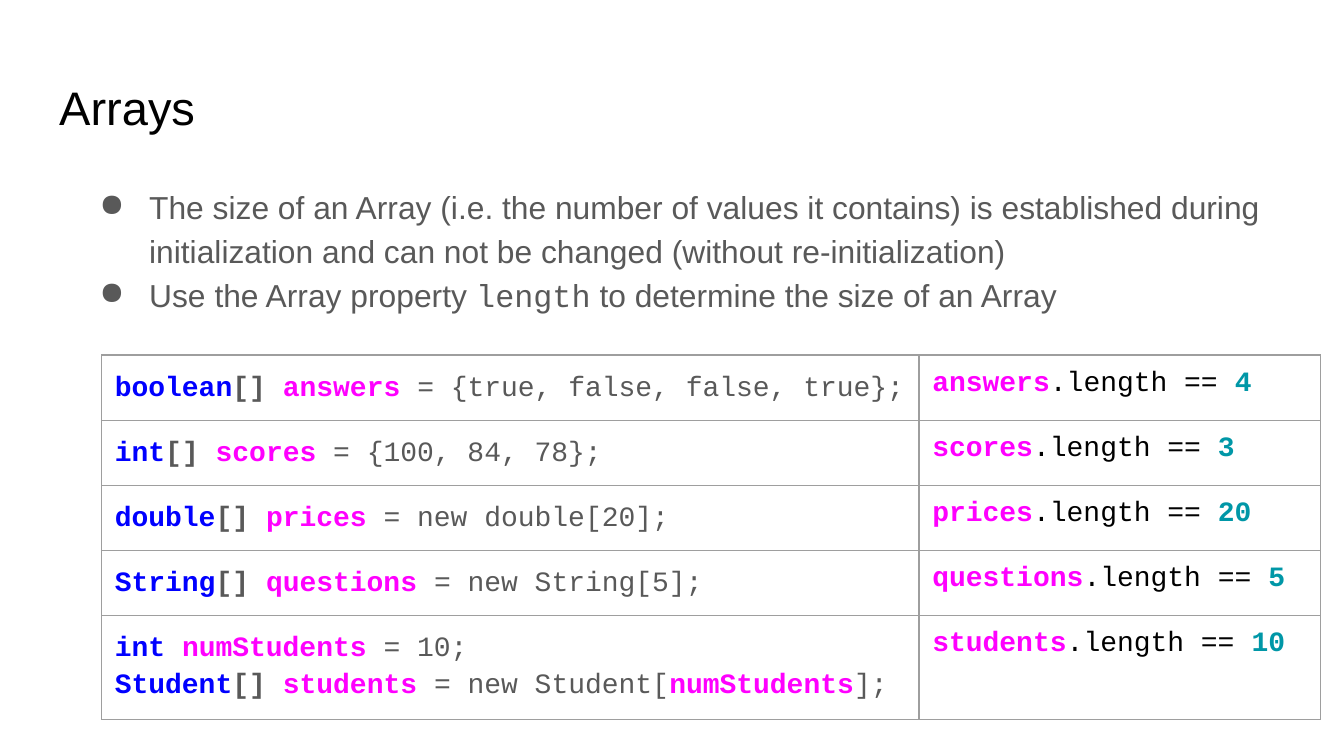
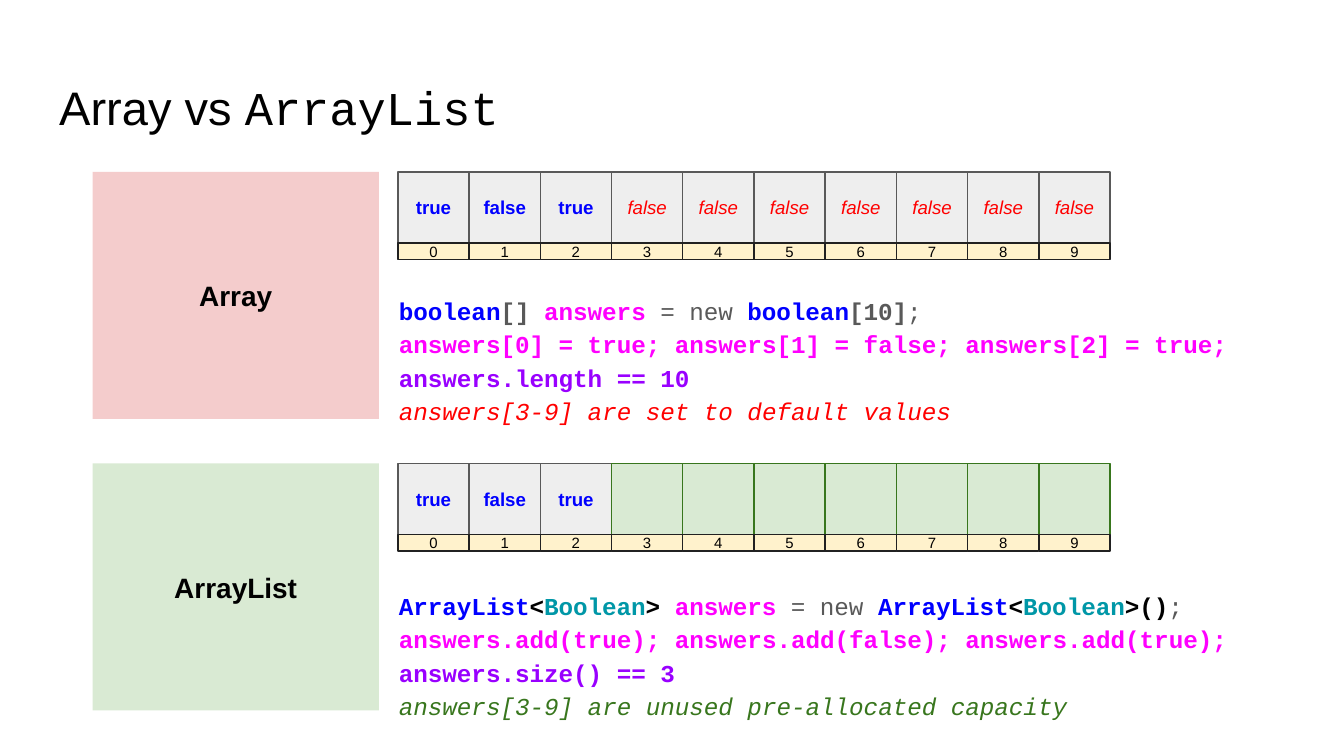
from lxml.etree import SubElement
from pptx import Presentation
from pptx.dml.color import RGBColor
from pptx.enum.shapes import MSO_SHAPE
from pptx.enum.text import MSO_ANCHOR, MSO_AUTO_SIZE, PP_ALIGN
from pptx.oxml.ns import qn
from pptx.util import Cm, Pt

COLORS = {
    "black": "000000", "gray": "595959", "blue": "0000FF", "magenta": "FF00FF",
    "teal": "0097A7", "purple": "9900FF", "red": "FF0000", "green": "38761D",
    "border": "9E9E9E", "ink": "212121", "cell": "EEEEEE", "cream": "FFF2CC",
    "pink": "F4CCCC", "mint": "D9EAD3",
}
SANS, MONO = "Arial", "Courier New"
INSET = Cm(0.25)

# Text styles: colour, bold, italic
STYLES = {
    "type": ("blue", True, False),
    "mark": ("gray", True, False),
    "name": ("magenta", True, False),
    "plain": ("gray", False, False),
    "black": ("black", False, False),
    "strong": ("black", True, False),
    "value": ("teal", True, False),
    "result": ("purple", True, False),
    "default": ("red", False, True),
    "unused": ("green", False, True),
}

# Each declaration line is a list of (style, text) spans
DECLARATIONS = [
    ([[("type", "boolean"), ("mark", "[] "), ("name", "answers"),
       ("plain", " = {true, false, false, true};")]], "answers", 4),
    ([[("type", "int"), ("mark", "[] "), ("name", "scores"),
       ("plain", " = {100, 84, 78};")]], "scores", 3),
    ([[("type", "double"), ("mark", "[] "), ("name", "prices"),
       ("plain", " = new double[20];")]], "prices", 20),
    ([[("type", "String"), ("mark", "[] "), ("name", "questions"),
       ("plain", " = new String[5];")]], "questions", 5),
    ([[("type", "int "), ("name", "numStudents"), ("plain", " = 10;")],
      [("type", "Student"), ("mark", "[] "), ("name", "students"),
       ("plain", " = new Student["), ("name", "numStudents"), ("plain", "];")]],
     "students", 10),
]

ARRAY_CODE = [
    [("type", "boolean"), ("mark", "[] "), ("name", "answers"), ("plain", " = new "),
     ("type", "boolean"), ("mark", "[10]"), ("plain", ";")],
    [("name", "answers[0] = true; answers[1] = false; answers[2] = true;")],
    [("result", "answers.length == 10")],
    [("default", "answers[3-9] are set to default values")],
]
LIST_CODE = [
    [("type", "ArrayList"), ("strong", "<"), ("value", "Boolean"), ("strong", "> "),
     ("name", "answers"), ("plain", " = new "), ("type", "ArrayList"), ("strong", "<"),
     ("value", "Boolean"), ("strong", ">()"), ("plain", ";")],
    [("name", "answers.add(true); answers.add(false); answers.add(true);")],
    [("result", "answers.size() == 3")],
    [("unused", "answers[3-9] are unused pre-allocated capacity")],
]


def color(name):
    return RGBColor.from_string(COLORS[name])


def add_span(para, text, style, size, font):
    span = para.add_run()
    span.text = text
    shade, bold, italic = STYLES[style]
    values = {"name": font, "size": Pt(size), "bold": bold, "italic": italic}
    for key, value in values.items():
        setattr(span.font, key, value)
    span.font.color.rgb = color(shade)


def add_code(para, lines, size):
    """Write code lines into one paragraph, parted by line breaks."""
    for number, line in enumerate(lines):
        if number:
            para.add_line_break()
        for style, text in line:
            add_span(para, text, style, size, MONO)


def set_frame(frame, anchor=MSO_ANCHOR.TOP):
    values = {"word_wrap": True, "vertical_anchor": anchor}
    values.update({f"margin_{side}": INSET for side in ("left", "top", "right", "bottom")})
    for key, value in values.items():
        setattr(frame, key, value)


def space_code(para):
    para.line_spacing = 1.15
    para.space_after = Pt(12)


def add_text(page, box):
    frame = page.shapes.add_textbox(*map(Cm, box)).text_frame
    set_frame(frame)
    return frame


def add_rect(shapes, box, fill, line=None, text="", style="black", size=10):
    rect = shapes.add_shape(MSO_SHAPE.RECTANGLE, *map(Cm, box))
    rect.shadow.inherit = False
    rect.fill.solid()
    rect.fill.fore_color.rgb = color(fill)
    if line:
        rect.line.color.rgb = color(line)
        rect.line.width = Pt(0.75)
    else:
        rect.line.fill.background()
    if text:
        set_frame(rect.text_frame, MSO_ANCHOR.MIDDLE)
        para = rect.text_frame.paragraphs[0]
        para.alignment = PP_ALIGN.CENTER
        add_span(para, text, style, size, SANS)


def add_title(page, *spans):
    para = add_text(page, (0.87, 1.24, 23.67, 1.6)).paragraphs[0]
    for text, font in spans:
        add_span(para, text, "black", 25.2, font)


def add_bullets(page, box, items):
    frame = add_text(page, box)
    for number, spans in enumerate(items):
        para = frame.add_paragraph() if number else frame.paragraphs[0]
        para.line_spacing = 1.15
        for text, font in spans:
            add_span(para, text, "plain", 17, font)
        # Hanging indent and round bullet
        props = para._p.get_or_add_pPr()
        props.set("marL", str(Cm(1.27)))
        props.set("indent", str(-Cm(0.94)))
        bullet_color = SubElement(props, qn("a:buClr"))
        SubElement(bullet_color, qn("a:srgbClr"), val=COLORS["gray"])
        SubElement(props, qn("a:buChar"), char="●")


def set_borders(cell):
    props = cell._tc.get_or_add_tcPr()
    for number, side in enumerate(("lnL", "lnR", "lnT", "lnB")):
        line = props.makeelement(qn(f"a:{side}"), {"w": str(Pt(0.75))})
        fill = SubElement(line, qn("a:solidFill"))
        SubElement(fill, qn("a:srgbClr"), val=COLORS["border"])
        props.insert(number, line)


def add_declarations(page, left, top):
    """Table of declarations beside the length of each array."""
    widths, heights = (15.45, 7.59), (1.2, 1.2, 1.2, 1.2, 1.89)
    table = page.shapes.add_table(
        len(DECLARATIONS), 2, Cm(left), Cm(top), Cm(sum(widths)), Cm(sum(heights))).table
    table.first_row = table.horz_banding = False
    for column, width in zip(table.columns, widths):
        column.width = Cm(width)
    for row, height, (lines, name, length) in zip(table.rows, heights, DECLARATIONS):
        row.height = Cm(height)
        check = [("name", name), ("black", ".length == "), ("value", str(length))]
        for cell, code in zip(row.cells, (lines, [check])):
            for side in ("left", "top", "right", "bottom"):
                setattr(cell, f"margin_{side}", INSET)
            cell.fill.background()
            set_borders(cell)
            add_code(cell.text_frame.paragraphs[0], code, 15)
        space_code(row.cells[0].text_frame.paragraphs[0])


def add_memory(page, left, top, spare):
    """Strip of ten slots with their indexes; spare formats the last seven."""
    shapes = page.shapes.add_group_shape().shapes
    side, index_height = 1.346, 0.31
    used = [{"fill": "cell", "line": "gray", "text": text, "style": "type"}
            for text in ("true", "false", "true")]
    slots = used + [spare] * 7
    for number, slot in enumerate(slots):
        add_rect(shapes, (left + number * side, top, side, side), **slot)
    for number in range(len(slots)):
        add_rect(shapes, (left + number * side, top + side, side, index_height),
                 "cream", "ink", str(number), size=8)


def add_structure(page, box, label, fill, spare, code, code_top):
    """Labelled panel, memory strip and code, placed from the panel's box."""
    left, top, width, height = box
    add_memory(page, left + 5.77, top, spare)
    frame = add_text(page, (left + 5.54, top + code_top, 17.7, 3))
    frame.auto_size = MSO_AUTO_SIZE.SHAPE_TO_FIT_TEXT
    space_code(frame.paragraphs[0])
    add_code(frame.paragraphs[0], code, 13)
    add_rect(page.shapes, box, fill, text=label, style="strong", size=15)


def build_arrays(page):
    add_title(page, ("Arrays", SANS))
    add_bullets(page, (1.3, 3.2, 23.67, 3.07), [
        [("The size of an Array (i.e. the number of values it contains) is established "
          "during initialization and can not be changed (without re-initialization)", SANS)],
        [("Use the Array property ", SANS), ("length", MONO),
         (" to determine the size of an Array", SANS)],
    ])
    add_declarations(page, 1.92, 6.71)


def build_comparison(page):
    add_title(page, ("Array vs ", SANS), ("ArrayList", MONO))
    left, width, height = 1.75, 5.41, 4.67
    defaults = {"fill": "cell", "line": "gray", "text": "false", "style": "default"}
    unused = {"fill": "mint", "line": "green"}
    add_structure(page, (left, 3.25, width, height), "Array", "pink",
                  defaults, ARRAY_CODE, 2.01)
    add_structure(page, (left, 8.76, width, height), "ArrayList", "mint",
                  unused, LIST_CODE, 2.08)


deck = Presentation()
deck.slide_width, deck.slide_height = Cm(25.4), Cm(14.29)
for build in (build_arrays, build_comparison):
    build(deck.slides.add_slide(deck.slide_layouts[6]))
deck.save("out.pptx")
